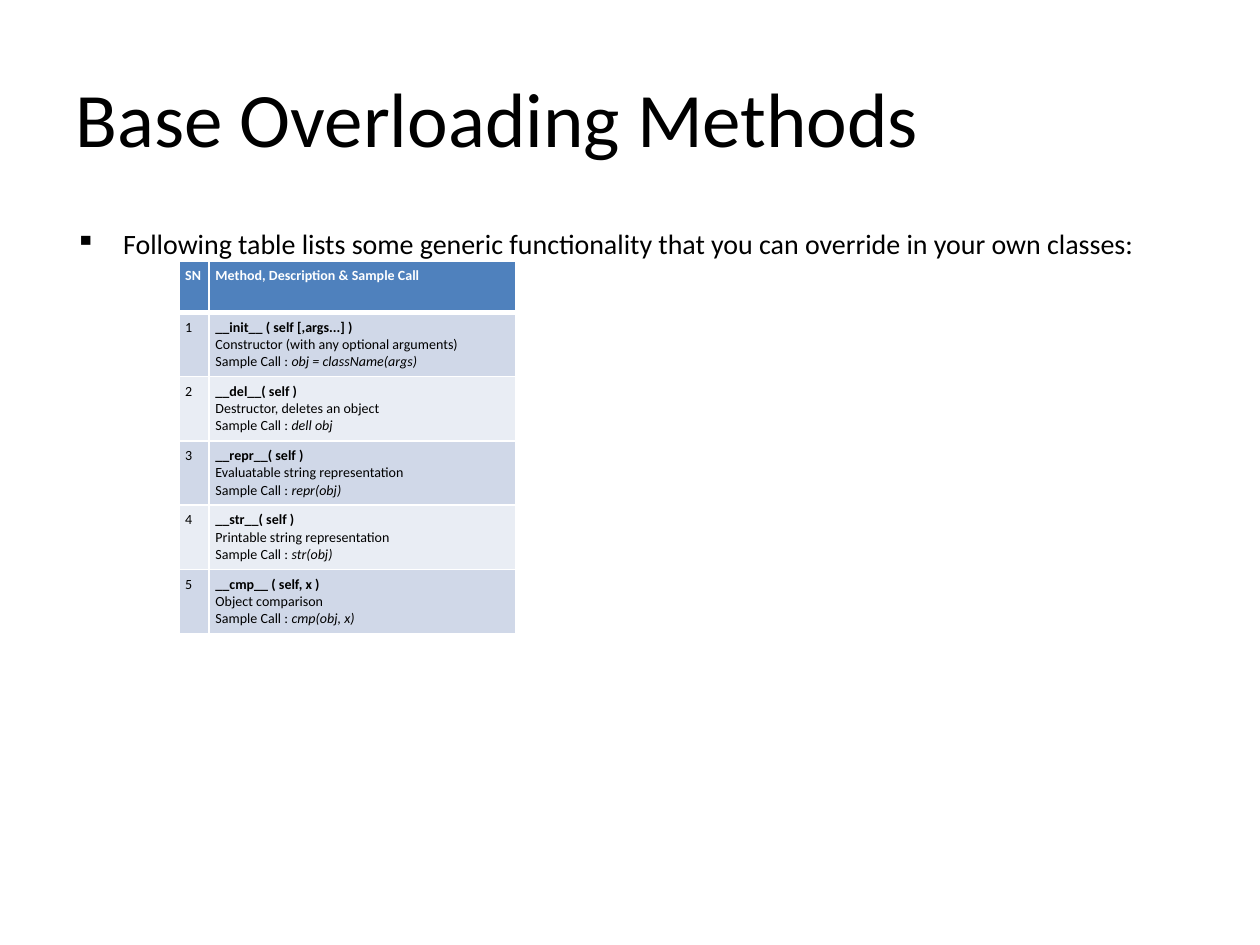
from lxml import etree
from pptx import Presentation
from pptx import util as u
from pptx.dml.color import RGBColor
from pptx.enum import text
from pptx.oxml import ns


def color(value):
    return RGBColor.from_string(value)


class SlideBuilder:
    """Holds the style and the current slide, and adds its elements."""

    font = "Calibri"
    ink = "000000"
    white = "FFFFFF"
    header_fill = "4F81BD"
    band_fills = ("D0D8E8", "E9EDF4")

    def __init__(self, page):
        self.page = page

    def span(self, para, words, size, ink=ink, bold=False, italic=False):
        span = para.add_run()
        span.text = words
        span.font.name = self.font
        span.font.size = u.Pt(size)
        span.font.color.rgb = color(ink)
        span.font.bold = bold
        span.font.italic = italic

    def text_box(self, left, top, width, height, words, size,
                 anchor=text.MSO_ANCHOR.TOP):
        box = self.page.shapes.add_textbox(
            *(u.Inches(length) for length in (left, top, width, height)))
        frame = box.text_frame
        frame.word_wrap = True
        frame.vertical_anchor = anchor
        para = frame.paragraphs[0]
        self.span(para, words, size)
        return para

    def bullet(self, para, mark, indent, space):
        para.space_before = u.Pt(space)
        properties = para._p.get_or_add_pPr()
        properties.set("marL", str(u.Inches(indent)))
        properties.set("indent", str(-u.Inches(indent)))
        etree.SubElement(properties, ns.qn("a:buChar")).set("char", mark)

    def borders(self, cell, bottom):
        properties = cell._tc.get_or_add_tcPr()
        widths = {"lnL": 1, "lnR": 1, "lnT": 1, "lnB": bottom}
        for place, (side, width) in enumerate(widths.items()):
            line = etree.Element(ns.qn("a:" + side), w=str(u.Pt(width)))
            fill = etree.SubElement(line, ns.qn("a:solidFill"))
            etree.SubElement(fill, ns.qn("a:srgbClr"), val=self.white)
            properties.insert(place, line)

    def cell(self, cell, fill, lines, size, ink, bottom):
        cell.margin_left = cell.margin_right = u.Inches(0.05)
        cell.margin_top = cell.margin_bottom = u.Inches(0.05)
        cell.fill.solid()
        cell.fill.fore_color.rgb = color(fill)
        self.borders(cell, bottom)
        para = cell.text_frame.paragraphs[0]
        for number, spans in enumerate(lines):
            if number:
                para.add_line_break()
            for words, style in spans:
                self.span(para, words, size, ink, **style)

    def table(self, left, top, columns, header_height, row_height, rows, size):
        height = header_height + row_height * (len(rows) - 1)
        frame = self.page.shapes.add_table(
            len(rows), len(columns), u.Inches(left), u.Inches(top),
            u.Inches(sum(columns)), u.Inches(height))
        table = frame.table
        for column, width in zip(table.columns, columns):
            column.width = u.Inches(width)
        for index, row in enumerate(rows):
            header = index == 0
            table.rows[index].height = u.Inches(
                header_height if header else row_height)
            fill = self.header_fill if header else self.band_fills[(index - 1) % 2]
            ink = self.white if header else self.ink
            for position, lines in enumerate(row):
                self.cell(table.cell(index, position), fill, lines, size, ink,
                          bottom=3 if header else 1)


BOLD = {"bold": True}
ITALIC = {"italic": True}
METHODS = [
    ("__init__ ( self [,args...] )", "Constructor (with any optional arguments)",
     "obj = className(args)"),
    ("__del__( self )", "Destructor, deletes an object", "dell obj"),
    ("__repr__( self )", "Evaluatable string representation", "repr(obj)"),
    ("__str__( self )", "Printable string representation", "str(obj)"),
    ("__cmp__ ( self, x )", "Object comparison", "cmp(obj, x)"),
]

deck = Presentation()
deck.slide_width = u.Inches(10)
deck.slide_height = u.Inches(7.5)
slide = SlideBuilder(deck.slides.add_slide(deck.slide_layouts[6]))

slide.text_box(0.5, 0.3, 9, 1.25, "Base Overloading Methods", 44,
               text.MSO_ANCHOR.MIDDLE)
intro = slide.text_box(
    0.5, 1.75, 9, 4.95,
    "Following table lists some generic functionality that you can override "
    "in your own classes:", 16)
slide.bullet(intro, "▪", 0.38, 3.2)

rows = [([[("SN", BOLD)]], [[("Method, Description & Sample Call", BOLD)]])]
for number, (method, description, call) in enumerate(METHODS, 1):
    rows.append((
        [[(str(number), {})]],
        [[(method, BOLD)],
         [(description, {})],
         [("Sample Call :\u00a0", {}), (call, ITALIC)]],
    ))
slide.table(1.42, 2.07, (0.24, 2.43), 0.41, 0.51, rows, 8)

deck.save("out.pptx")
